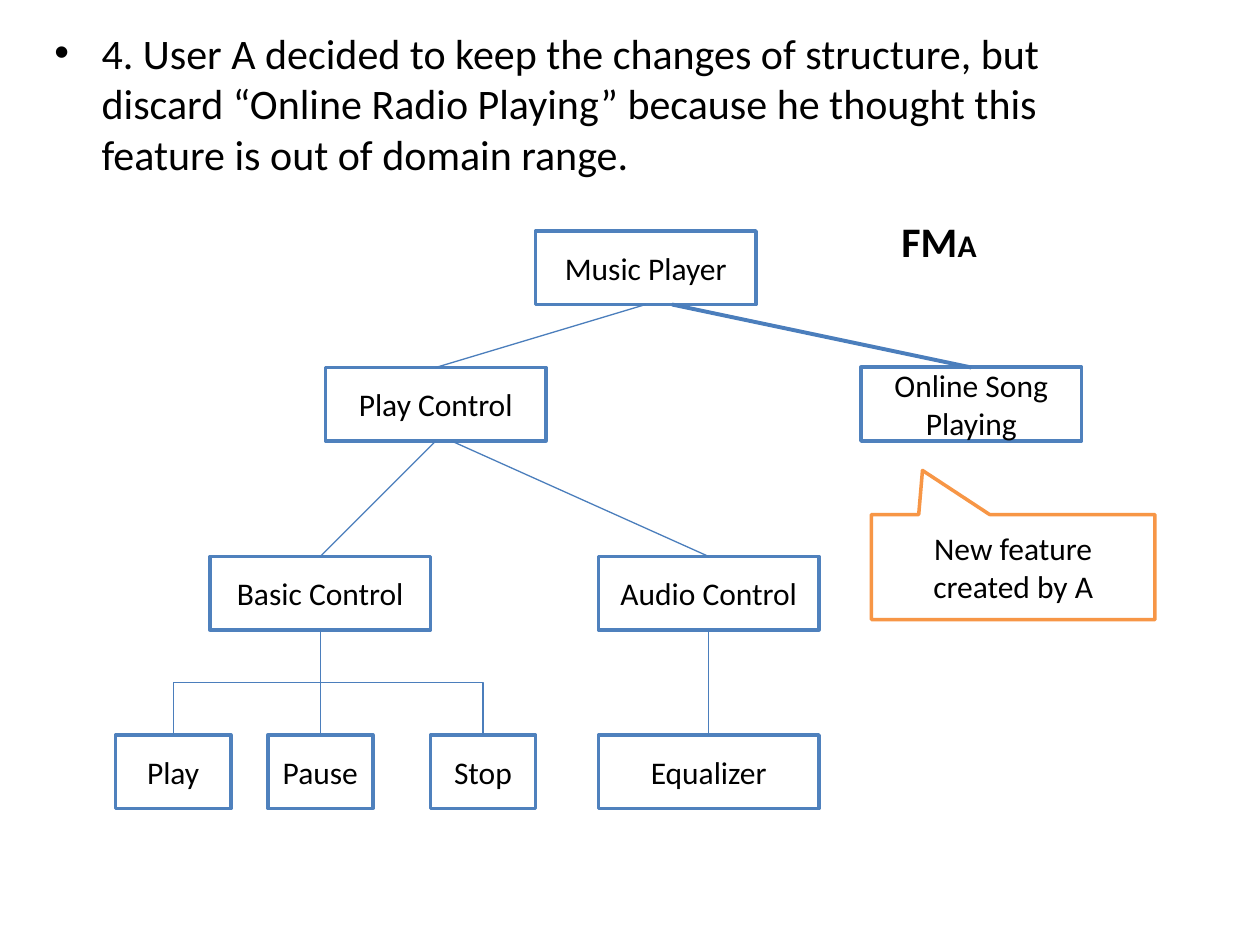
from lxml.etree import SubElement
from pptx import Presentation
from pptx.dml.color import RGBColor
from pptx.enum.shapes import MSO_CONNECTOR as LINK, MSO_SHAPE as SHAPE
from pptx.enum.text import MSO_ANCHOR as ANCHOR, PP_ALIGN as ALIGN
from pptx.oxml.ns import qn
from pptx.util import Pt

BLACK = RGBColor(0, 0, 0)
WHITE = RGBColor(255, 255, 255)
BLUE = RGBColor(0x4F, 0x81, 0xBD)
LINK_BLUE = RGBColor(0x4B, 0x7E, 0xBC)
ORANGE = RGBColor(0xF7, 0x96, 0x46)
BOTTOM, TOP = 2, 0
NODE_HEIGHT, WIDE = 42, 126
THIN, BOLD = 0.75, 2.25

STATEMENT = ("4. User A decided to keep the changes of structure, but discard "
             "“Online Radio Playing” because he thought this feature is out of "
             "domain range.")
CALLOUT = "New feature created by A"
MODEL_NAME = [(" ", 18), ("FM", 24), ("A", 18)]

# row top -> (feature, left, width, outline)
FEATURE_ROWS = {
    132: [("Music Player", 306, WIDE, 2)],
    210: [("Play Control", 186, WIDE, 2), ("Online Song Playing", 492, WIDE, BOLD)],
    318: [("Basic Control", 120, WIDE, 2), ("Audio Control", 342, WIDE, 2)],
    420: [("Play", 66, 66, 2), ("Pause", 153, 60, 2), ("Stop", 246, 60, 2),
          ("Equalizer", 342, WIDE, 2)],
}
# parent, child, start offset from the parent's centre, line width
STRAIGHT_LINKS = [
    ("Music Player", "Play Control", 0, THIN),
    ("Music Player", "Online Song Playing", 15, BOLD),
    ("Play Control", "Basic Control", 0, THIN),
    ("Play Control", "Audio Control", 9, THIN),
    ("Audio Control", "Equalizer", 0, THIN),
]
ELBOW_LINKS = [("Basic Control", child) for child in ("Play", "Pause", "Stop")]


def write(shape, spans, align=ALIGN.LEFT, anchor=ANCHOR.TOP, bold=False):
    """Fill the shape with one paragraph of (text, size) spans and return it."""
    frame = shape.text_frame
    frame.word_wrap = True
    frame.vertical_anchor = anchor
    para = frame.paragraphs[0]
    para.alignment = align
    for text, size in spans:
        span = para.add_run()
        span.text = text
        span.font.name = "Calibri"
        span.font.size = Pt(size)
        span.font.bold = bold
        span.font.color.rgb = BLACK
    return para


def add_text(page, place, spans, **formats):
    return write(page.shapes.add_textbox(*map(Pt, place)), spans, **formats)


def add_box(page, kind, place, text, color, weight):
    box = page.shapes.add_shape(kind, *map(Pt, place))
    box.shadow.inherit = False
    box.fill.solid()
    box.fill.fore_color.rgb = WHITE
    box.line.color.rgb = color
    box.line.width = Pt(weight)
    write(box, [(text, 18)], align=ALIGN.CENTER, anchor=ANCHOR.MIDDLE)
    return box


def add_link(page, kind, parent, child, offset=0, weight=THIN):
    start_x = parent.left + parent.width // 2 + Pt(offset)
    end_x = child.left + child.width // 2
    link = page.shapes.add_connector(
        kind, start_x, parent.top + parent.height, end_x, child.top)
    if not offset:
        link.begin_connect(parent, BOTTOM)
    link.end_connect(child, TOP)
    link.line.color.rgb = LINK_BLUE
    link.line.width = Pt(weight)
    SubElement(link._element.spPr, qn("a:effectLst"))
    return link


def add_elbow(page, parent, child):
    """Join two boxes with a bent link that leaves and arrives vertically."""
    link = add_link(page, LINK.ELBOW, parent, child)
    goes_right = link.end_x > link.begin_x
    across, down = link.width, link.height
    link.left += (across - down) // 2
    link.top += (down - across) // 2
    link.width, link.height = down, across
    frame = link._element.spPr.find(qn("a:xfrm"))
    frame.set("rot", str((270 if goes_right else 90) * 60000))
    frame.set("flipH", "1" if goes_right else "0")


def main():
    deck = Presentation()
    deck.slide_width, deck.slide_height = Pt(720), Pt(540)
    page = deck.slides.add_slide(deck.slide_layouts[6])

    para = add_text(page, (24, 12, 648, 96), [(STATEMENT, 24)])
    props = para._p.get_or_add_pPr()
    props.set("marL", str(Pt(27)))
    props.set("indent", str(Pt(-27)))
    SubElement(props, qn("a:buFont"), typeface="Arial")
    SubElement(props, qn("a:buChar"), char="•")

    boxes = {}
    for top, features in FEATURE_ROWS.items():
        for name, left, width, weight in features:
            boxes[name] = add_box(page, SHAPE.RECTANGLE,
                                  (left, top, width, NODE_HEIGHT), name, BLUE, weight)
    for parent, child, offset, weight in STRAIGHT_LINKS:
        add_link(page, LINK.STRAIGHT, boxes[parent], boxes[child], offset, weight)
    for parent, child in ELBOW_LINKS:
        add_elbow(page, boxes[parent], boxes[child])

    callout = add_box(page, SHAPE.RECTANGULAR_CALLOUT, (498, 294, 162, 60),
                      CALLOUT, ORANGE, 2)
    callout.adjustments[0] = -0.32
    callout.adjustments[1] = -0.92
    add_text(page, (504, 119.5, 186, 36), MODEL_NAME, bold=True)

    deck.save("out.pptx")


if __name__ == "__main__":
    main()
